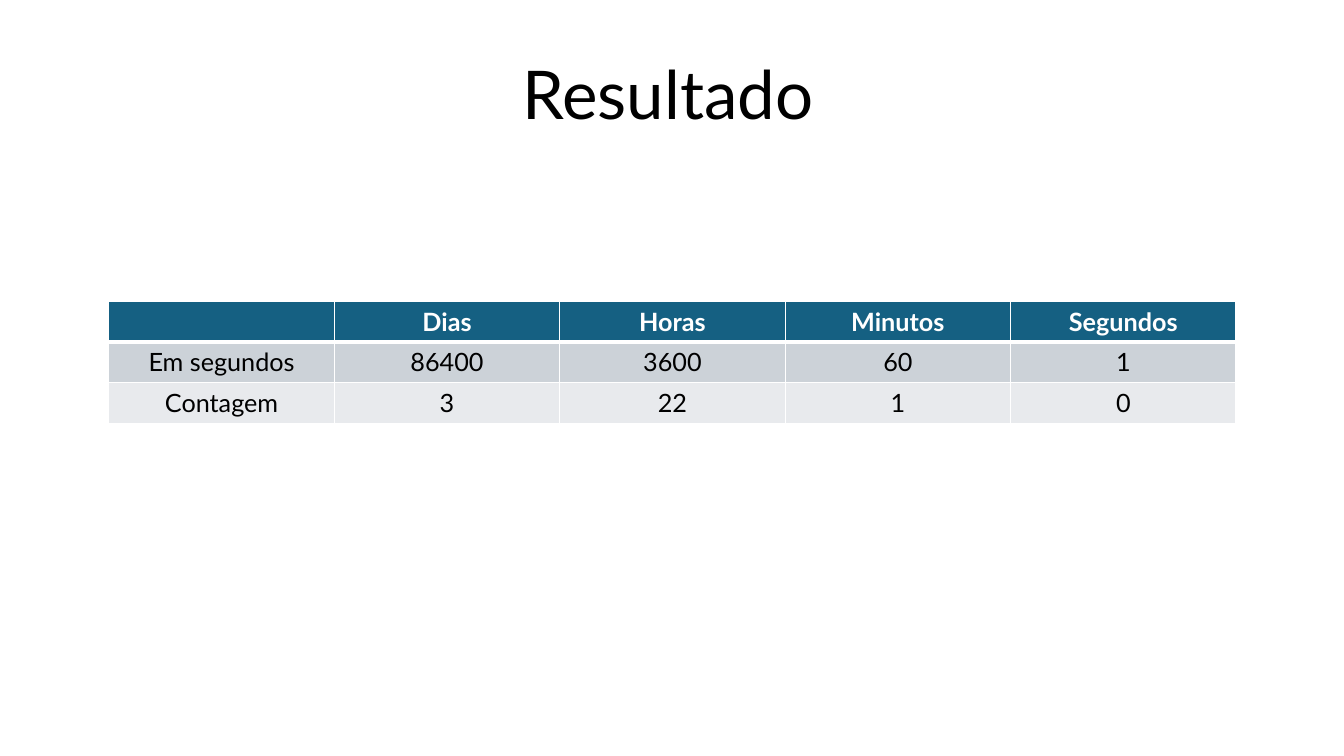
import lxml.etree
import pptx
import pptx.dml.color
import pptx.enum.text
import pptx.oxml.ns
import pptx.util

THEME = {
    "font": "Lato", "title_size": 48, "table_size": 18,
    "text": "000000", "header_text": "FFFFFF", "border": "FFFFFF",
    "row_fills": ["156082", "CCD2D8", "E8EAED"],
}
ROWS = [
    ["", "Dias", "Horas", "Minutos", "Segundos"],
    ["Em segundos", "86400", "3600", "60", "1"],
    ["Contagem", "3", "22", "1", "0"],
]


def format_text(para, text, size, color, align, bold=False):
    para.text = text
    para.alignment = align
    formats = {"name": THEME["font"], "size": pptx.util.Pt(size), "bold": bold}
    for font in [para.font] + [span.font for span in para.runs]:
        for name, value in formats.items():
            setattr(font, name, value)
        font.color.rgb = pptx.dml.color.RGBColor.from_string(color)


def set_borders(cell, widths):
    properties = cell._tc.get_or_add_tcPr()
    for position, (side, width) in enumerate(widths.items()):
        line = lxml.etree.Element(pptx.oxml.ns.qn(f"a:ln{side}"), w=str(pptx.util.Pt(width)))
        fill = lxml.etree.SubElement(line, pptx.oxml.ns.qn("a:solidFill"))
        lxml.etree.SubElement(fill, pptx.oxml.ns.qn("a:srgbClr"), val=THEME["border"])
        properties.insert(position, line)


# Deck and page
deck = pptx.Presentation()
deck.slide_width = pptx.util.Inches(13.33)
deck.slide_height = pptx.util.Inches(7.5)
page = deck.slides.add_slide(deck.slide_layouts[5])

# Title
title = page.shapes.title
title_place = {"left": 5.08, "top": 0.47, "width": 3.17, "height": 0.91}
for name, value in title_place.items():
    setattr(title, name, pptx.util.Inches(value))
frame_formats = {
    "word_wrap": False,
    "auto_size": pptx.enum.text.MSO_AUTO_SIZE.SHAPE_TO_FIT_TEXT,
    "vertical_anchor": pptx.enum.text.MSO_ANCHOR.TOP,
}
for name, value in frame_formats.items():
    setattr(title.text_frame, name, value)
format_text(title.text_frame.paragraphs[0], "Resultado", THEME["title_size"],
            THEME["text"], pptx.enum.text.PP_ALIGN.LEFT)

# Table of equal columns and rows
table_place = [pptx.util.Inches(value) for value in (1.08, 2.99, 11.18, 1.21)]
table = page.shapes.add_table(len(ROWS), len(ROWS[0]), *table_place).table

for row_index, (texts, row_fill) in enumerate(zip(ROWS, THEME["row_fills"])):
    is_header = row_index == 0
    color = THEME["header_text"] if is_header else THEME["text"]
    top_width = 3 if row_index == 1 else 1
    bottom_width = 3 if is_header else 1
    for column_index, text in enumerate(texts):
        cell = table.cell(row_index, column_index)
        cell.fill.solid()
        cell.fill.fore_color.rgb = pptx.dml.color.RGBColor.from_string(row_fill)
        set_borders(cell, {"L": 1, "R": 1, "T": top_width, "B": bottom_width})
        format_text(cell.text_frame.paragraphs[0], text, THEME["table_size"],
                    color, pptx.enum.text.PP_ALIGN.CENTER, is_header)

deck.save("out.pptx")
